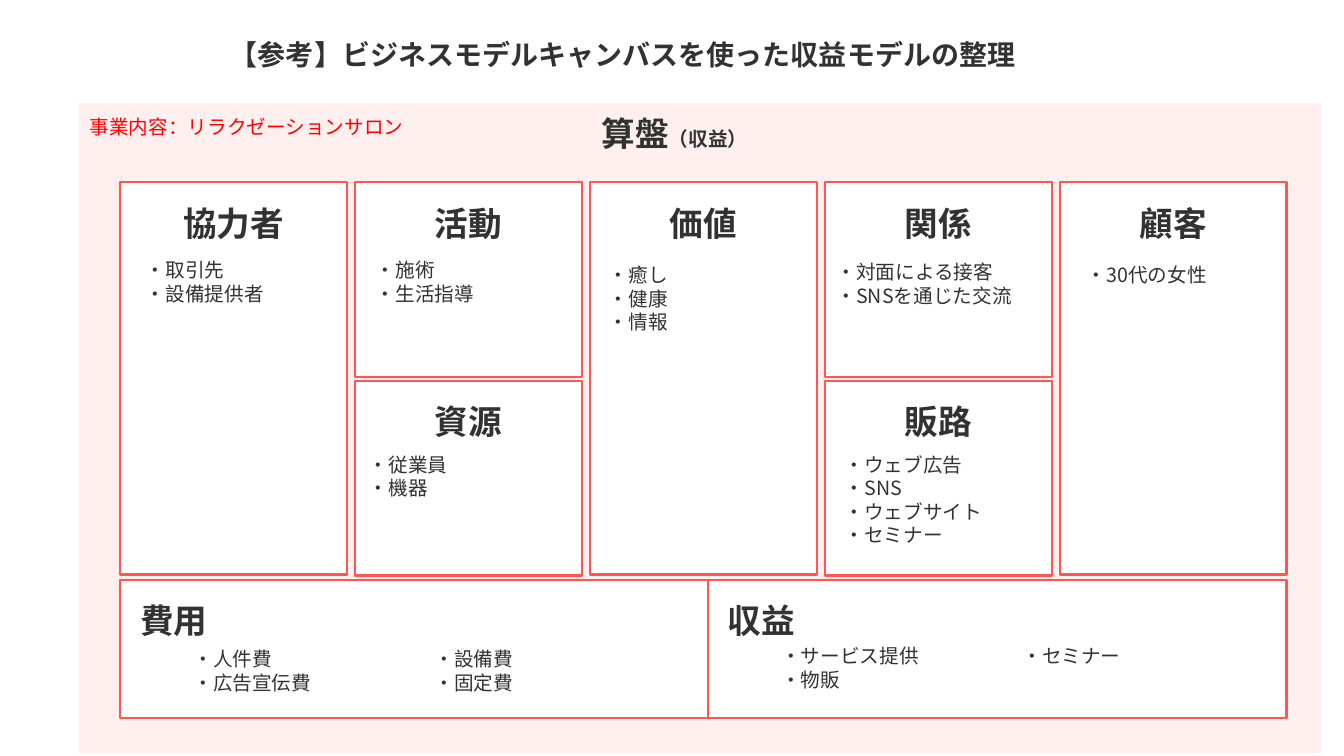
from dataclasses import dataclass

from lxml.etree import SubElement
from pptx import Presentation
from pptx.dml.color import RGBColor
from pptx.enum.shapes import MSO_SHAPE
from pptx.enum.text import MSO_ANCHOR, MSO_AUTO_SIZE, PP_ALIGN
from pptx.oxml.ns import qn
from pptx.util import Inches, Pt


@dataclass(frozen=True)
class Theme:
    face: str = "Noto Sans CJK JP"
    ink: str = "323232"
    red: str = "FF0000"
    edge: str = "FF5555"
    pink: str = "FFEFEF"
    white: str = "FFFFFF"
    head: int = 24
    title: int = 20
    body: int = 14
    rule: float = 1.5


def assign(target, values):
    for name, value in values.items():
        setattr(target, name, value)


class Canvas:
    def __init__(self, slide, theme):
        self.slide = slide
        self.theme = theme

    def letter(self, frame, lines, size, color=None, bold=False, align=None):
        """Each line is a list of (text, size) runs or a plain string."""
        for i, line in enumerate(lines):
            para = frame.paragraphs[0] if i == 0 else frame.add_paragraph()
            para.alignment = align
            runs = [(line, size)] if isinstance(line, str) else line
            for text, points in runs:
                run = para.add_run()
                run.text = text
                assign(run.font, {"size": Pt(points), "bold": bold,
                                  "name": self.theme.face})
                run.font.color.rgb = RGBColor.from_string(color or self.theme.ink)
                SubElement(run.font._element, qn("a:ea"), typeface=self.theme.face)

    def title(self, text, area):
        holder = self.slide.shapes.title
        assign(holder, dict(zip(("left", "top", "width", "height"), map(Inches, area))))
        assign(holder.text_frame, {"word_wrap": True, "vertical_anchor": MSO_ANCHOR.TOP,
                                   "auto_size": MSO_AUTO_SIZE.SHAPE_TO_FIT_TEXT})
        self.letter(holder.text_frame, [text], self.theme.title, bold=True,
                    align=PP_ALIGN.JUSTIFY)

    def block(self, area, fill, edge=None):
        shape = self.slide.shapes.add_shape(MSO_SHAPE.RECTANGLE, *map(Inches, area))
        shape.shadow.inherit = False
        shape.fill.solid()
        shape.fill.fore_color.rgb = RGBColor.from_string(fill)
        if edge:
            shape.line.color.rgb = RGBColor.from_string(edge)
            shape.line.width = Pt(self.theme.rule)
        else:
            shape.line.fill.background()
        return shape

    def card(self, area, head, align=PP_ALIGN.CENTER):
        frame = self.block(area, self.theme.white, self.theme.edge).text_frame
        pad = Inches(0.2)
        assign(frame, {"margin_left": pad, "margin_right": pad, "margin_top": pad,
                       "margin_bottom": pad, "word_wrap": True,
                       "vertical_anchor": MSO_ANCHOR.TOP})
        self.letter(frame, [head], self.theme.head, bold=True, align=align)

    def label(self, area, lines, wrap=True, split=1, **style):
        frame = self.slide.shapes.add_textbox(*map(Inches, area)).text_frame
        assign(frame, {"word_wrap": wrap, "auto_size": MSO_AUTO_SIZE.SHAPE_TO_FIT_TEXT})
        if split > 1:
            frame._txBody.bodyPr.set("numCol", str(split))
        self.letter(frame, lines, self.theme.body, **style)

    def points(self, left, top, items, width=2.07, rows=None, split=1):
        high = 0.1 + 0.235 * (rows or len(items))
        self.label((left, top, width, high), ["・" + item for item in items], split=split)


# Grid: five columns, with two stacked rows in some of them
LEFT, TOP, STEP, WIDE = 1.19, 1.81, 2.33, 2.25
TALL, HALF, LOW = 3.89, 1.93, 3.78
BASE, DEEP = 5.75, 1.37

# Column, top, height, heading, list left, list top, items
CARDS = [
    (0, TOP, TALL, "協力者", 1.35, 2.51, ["取引先", "設備提供者"]),
    (1, TOP, HALF, "活動", 3.63, 2.51, ["施術", "生活指導"]),
    (1, LOW, HALF, "資源", 3.56, 4.44, ["従業員", "機器"]),
    (2, TOP, TALL, "価値", 5.94, 2.56, ["癒し", "健康", "情報"]),
    (3, TOP, HALF, "関係", 8.2, 2.53, ["対面による接客", "SNSを通じた交流"]),
    (3, LOW, HALF, "販路", 8.28, 4.44,
     ["ウェブ広告", "SNS", "ウェブサイト", "セミナー"]),
    (4, TOP, TALL, "顧客", 10.68, 2.56, ["30代の女性"]),
]

# Left, width, heading, list left, list top, items
MONEY = [
    (LEFT, 5.83, "費用", 1.82, 6.37, ["人件費", "広告宣伝費", "設備費", "固定費"]),
    (7.02, 5.74, "収益", 7.65, 6.34, ["サービス提供", "物販", "セミナー"]),
]


def main():
    deck = Presentation()
    assign(deck, {"slide_width": Inches(13.33), "slide_height": Inches(7.5)})
    theme = Theme()
    canvas = Canvas(deck.slides.add_slide(deck.slide_layouts[5]), theme)

    # Title and backdrop
    canvas.title("【参考】ビジネスモデルキャンバスを使った収益モデルの整理",
                 (2.18, 0.32, 8.97, 0.44))
    canvas.block((0.78, 1.02, 12.33, 6.45), theme.pink)
    canvas.label((5.86, 1.07, 1.66, 0.5),
                 [[("算盤", theme.head), ("（収益）", theme.body)]],
                 wrap=False, bold=True, align=PP_ALIGN.CENTER)
    canvas.label((0.79, 1.09, 3.85, 0.34), ["事業内容：リラクゼーションサロン"],
                 color=theme.red)

    # Upper cards
    for col, top, high, head, left, start, items in CARDS:
        canvas.card((LEFT + col * STEP, top, WIDE, high), head)
        canvas.points(left, start, items)

    # Costs and income
    for left, wide, head, inner, start, items in MONEY:
        canvas.card((left, BASE, wide, DEEP), head, PP_ALIGN.LEFT)
        canvas.points(inner, start, items, width=4.98, rows=2, split=2)

    deck.save("out.pptx")


if __name__ == "__main__":
    main()
